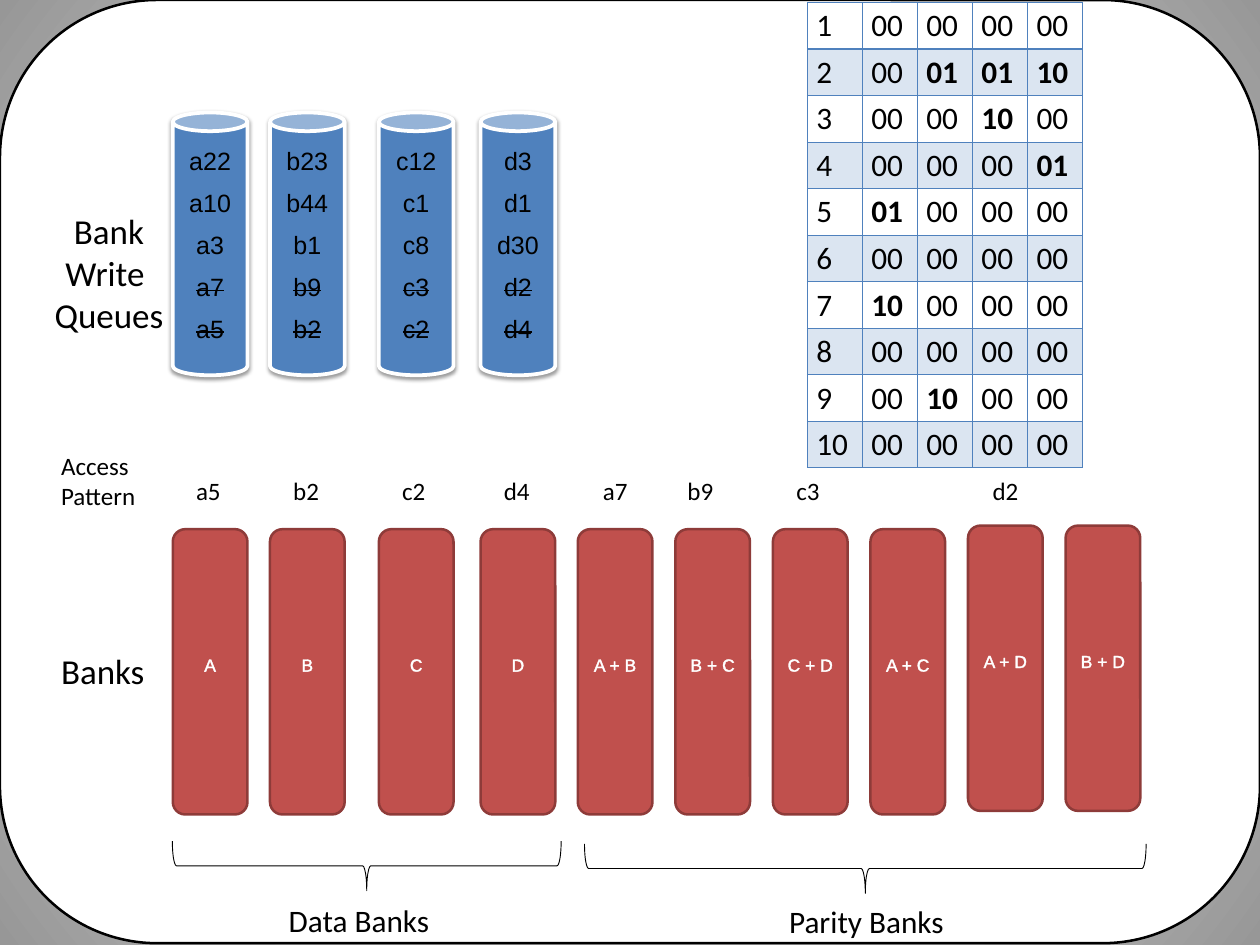
"""Build the slide showing bank write queues, data and parity banks, and the status table."""
from lxml import etree
from pptx import Presentation
from pptx import util as u
from pptx.dml.color import RGBColor
from pptx.enum import shapes, text
from pptx.oxml import parse_xml
from pptx.oxml.ns import nsdecls, qn

BLACK = RGBColor(0x00, 0x00, 0x00)
WHITE = RGBColor(0xFF, 0xFF, 0xFF)
GREY = RGBColor(0x97, 0x97, 0x97)
BLUE = RGBColor(0x4F, 0x81, 0xBD)
RED = RGBColor(0xC0, 0x50, 0x4D)
DARK_RED = RGBColor(0x8E, 0x3B, 0x39)
CENTER = text.PP_ALIGN.CENTER
LEFT = text.PP_ALIGN.LEFT

presentation = Presentation()
presentation.slide_width = u.Inches(14)
presentation.slide_height = u.Inches(10.5)
COLUMN = presentation.slide_width / 14
ROW = presentation.slide_height / 10.5
slide = presentation.slides.add_slide(presentation.slide_layouts[6])


def add_outline(preset, box, fill, line, weight):
    left, top, width, height = box
    shape = slide.shapes.add_shape(preset, int(left * COLUMN), int(top * ROW),
                                   int(width * COLUMN), int(height * ROW))
    shape.shadow.inherit = False
    if fill is None:
        shape.fill.background()
    else:
        shape.fill.solid()
        shape.fill.fore_color.rgb = fill
    shape.line.color.rgb = line
    shape.line.width = u.Pt(weight)
    return shape


def write(frame, words, size, font, color, align=LEFT, spacing=None):
    frame.text = words
    for paragraph in frame.paragraphs:
        paragraph.alignment = align
        paragraph.line_spacing = spacing
        for run in paragraph.runs:
            run.font.size = u.Pt(size)
            run.font.name = font
            run.font.color.rgb = color


background = slide.background.fill
background.gradient()
for stop, color in zip(background.gradient_stops, (WHITE, GREY)):
    stop.color.rgb = color
linear = slide.element.find(".//" + qn("a:lin"))
linear.getparent().replace(linear, parse_xml(
    f'<a:path {nsdecls("a")} path="circle">'
    '<a:fillToRect l="50000" t="50000" r="50000" b="50000"/></a:path>'))

add_outline(shapes.MSO_SHAPE.ROUNDED_RECTANGLE, (0, 0, 14, 10.48), WHITE, BLACK, 2)

DATA_LEFTS = [1.92, 3, 4.21, 5.34]
PARITY_LEFTS = [6.42 + 1.084 * index for index in range(6)]
bank_names = ["A", "B", "C", "D", "A + B", "B + C", "C + D", "A + C", "A + D", "B + D"]
for index, (name, left) in enumerate(zip(bank_names, DATA_LEFTS + PARITY_LEFTS)):
    top = 5.88 if index < 8 else 5.84
    bank = add_outline(shapes.MSO_SHAPE.ROUNDED_RECTANGLE, (left, top, 0.83, 3.17),
                       RED, DARK_RED, 2)
    frame = bank.text_frame
    frame.margin_left = frame.margin_right = u.Inches(0.09)
    frame.margin_top, frame.margin_bottom = u.Inches(0.04), u.Inches(0.2)
    write(frame, name, 14, "Arial", WHITE, CENTER)
    frame.paragraphs[0].runs[0].font._element.insert(0, parse_xml(
        f'<a:ln {nsdecls("a")} w="18415"><a:solidFill><a:srgbClr val="{WHITE}"/>'
        '</a:solidFill></a:ln>'))

queues = ["a22 a10 a3 a7 a5", "b23 b44 b1 b9 b2", "c12 c1 c8 c3 c2", "d3 d1 d30 d2 d4"]
for entries, left in zip(queues, DATA_LEFTS):
    queue = add_outline(shapes.MSO_SHAPE.CAN, (left, 1.25, 0.83, 2.92), BLUE, WHITE, 3)
    queue.element.spPr.find(qn("a:effectLst")).append(parse_xml(
        f'<a:outerShdw {nsdecls("a")} blurRad="40000" dist="20000" dir="5400000" '
        f'rotWithShape="0"><a:srgbClr val="{BLACK}"><a:alpha val="38000"/></a:srgbClr>'
        '</a:outerShdw>'))
    frame = queue.text_frame
    frame.margin_left = frame.margin_right = u.Inches(0.09)
    frame.margin_top, frame.margin_bottom = u.Inches(0.04), u.Inches(0.26)
    write(frame, "\n".join(entries.split()), 20, "Arial", BLACK, CENTER, 1.4)
    for paragraph in frame.paragraphs[-2:]:
        paragraph.runs[0].font._element.set("strike", "sngStrike")

labels = [
    ("Bank\nWrite \nQueues", (0.5, 2.28, 1.42, 1.51), 28, CENTER),
    ("Banks", (0.58, 7.17, 1.14, 0.57), 28, LEFT),
    ("Access Pattern", (0.58, 4.96, 1.14, 0.77), 20, LEFT),
    ("Data Banks", (3.11, 9.96, 1.78, 0.52), 25, LEFT),
    ("Parity Banks", (8.67, 9.98, 1.94, 0.52), 25, LEFT),
]
accesses = {"a5": 2.08, "b2": 3.16, "c2": 4.37, "d4": 5.5,
            "a7": 6.6, "b9": 7.54, "c3": 8.75, "d2": 10.93}
labels += [(name, (left, 5.23, 0.5, 0.44), 20, LEFT) for name, left in accesses.items()]
for words, (left, top, width, height), size, align in labels:
    label = slide.shapes.add_textbox(int(left * COLUMN), int(top * ROW),
                                     int(width * COLUMN), int(height * ROW))
    label.text_frame.word_wrap = words == "Access Pattern"
    label.text_frame.auto_size = text.MSO_AUTO_SIZE.SHAPE_TO_FIT_TEXT
    write(label.text_frame, words, size, "Calibri", BLACK, align)

for box in ((3.8, 7.46, 0.55, 4.32), (9.34, 6.53, 0.55, 6.24)):
    brace = add_outline(shapes.MSO_SHAPE.LEFT_BRACE, box, None, BLACK, 0.75)
    brace.rotation = 270

statuses = ["00 00 00 00", "00 01 01 10", "00 00 10 00", "00 00 00 01", "01 00 00 00",
            "00 00 00 00", "10 00 00 00", "00 00 00 00", "00 10 00 00", "00 00 00 00"]
table = slide.shapes.add_table(len(statuses), 5, int(8.97 * COLUMN), int(0.03 * ROW),
                               int(3.06 * COLUMN), int(5.17 * ROW)).table
table.first_row = table.horz_banding = False
for row, status in enumerate(statuses):
    for column, value in enumerate([str(row + 1)] + status.split()):
        cell = table.cell(row, column)
        write(cell.text_frame, value, 25, "Calibri", BLACK)
        cell.text_frame.paragraphs[0].runs[0].font.bold = column > 0 and value != "00"
        properties = cell._tc.get_or_add_tcPr()
        for side in "LRTB":
            heavy = (row == 0 and side == "B") or (row == 1 and side == "T")
            properties.append(parse_xml(
                f'<a:ln{side} {nsdecls("a")} w="{u.Pt(2 if heavy else 1)}"><a:solidFill>'
                f'<a:srgbClr val="{BLUE}"/></a:solidFill></a:ln{side}>'))
        if row % 2:
            cell.fill.solid()
            cell.fill.fore_color.rgb = BLUE
            tint = properties.find(qn("a:solidFill")).find(qn("a:srgbClr"))
            etree.SubElement(tint, qn("a:alpha")).set("val", "20000")
        else:
            cell.fill.background()

presentation.save("out.pptx")
